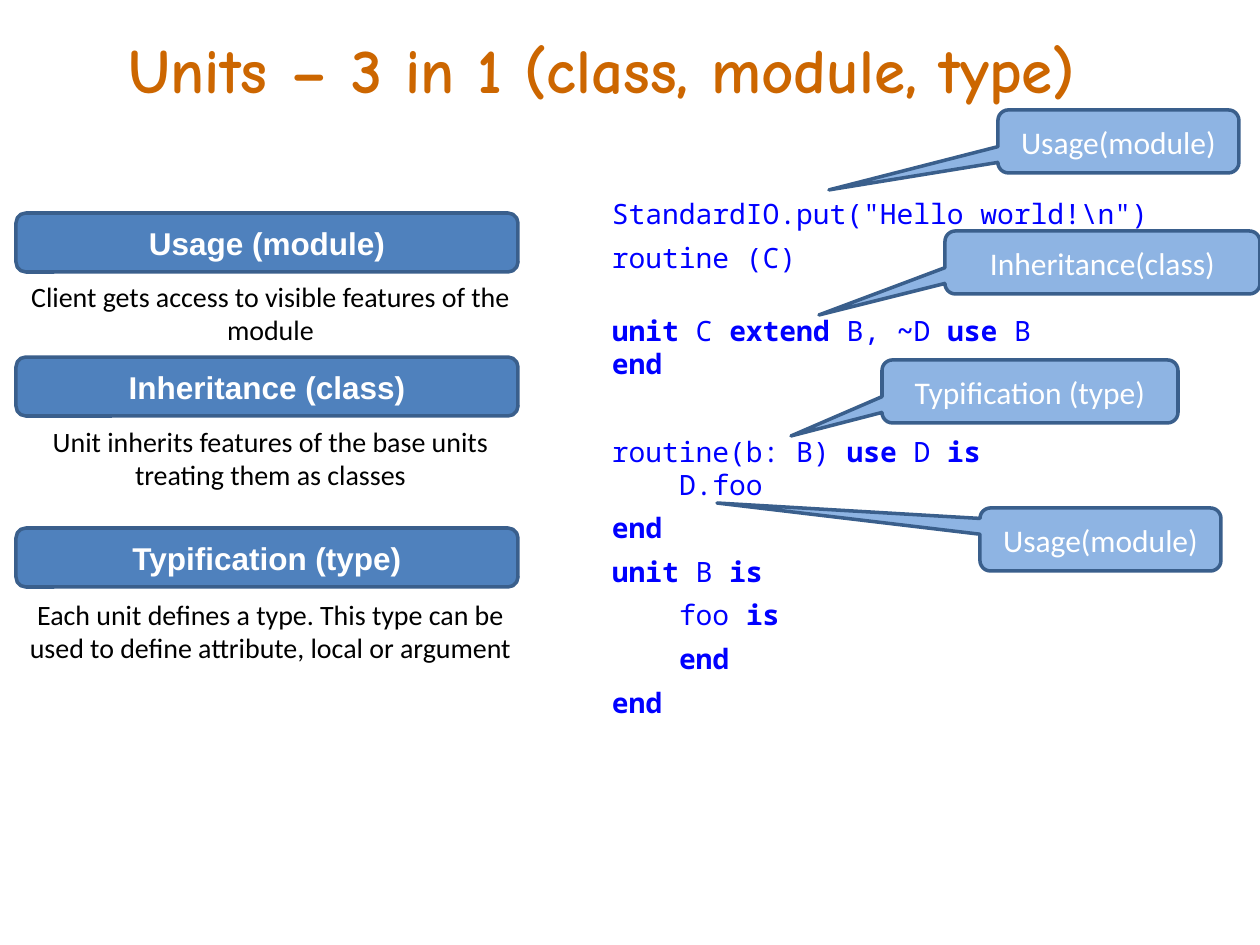
from lxml.etree import SubElement
from pptx import Presentation
from pptx.dml.color import RGBColor
from pptx.enum.shapes import MSO_SHAPE
from pptx.enum.text import MSO_ANCHOR, MSO_AUTO_SIZE, PP_ALIGN
from pptx.oxml.ns import qn
from pptx.util import Emu, Pt

ROUND, BUBBLE = MSO_SHAPE.ROUNDED_RECTANGLE, MSO_SHAPE.ROUNDED_RECTANGULAR_CALLOUT
TOP, MIDDLE = MSO_ANCHOR.TOP, MSO_ANCHOR.MIDDLE
LEFT, CENTER = PP_ALIGN.LEFT, PP_ALIGN.CENTER
FIXED = MSO_AUTO_SIZE.NONE
SCALE = 914400 / 126
WIDE, HIGH = 1260, 945
TAB = 67
LINE, GAP = 18.9, 6

COLORS = {
    "title": "CC6600", "head": "4F81BD", "edge": "3A5F8C", "call": "8EB4E3",
    "code": "0000FF", "note": "000000", "light": "FFFFFF",
}
ROLES = [
    ("Usage (module)", 213,
     "Client gets access to visible features of the module", 273),
    ("Inheritance (class)", 357,
     "Unit inherits features of the base units treating them as classes", 418),
    ("Typification (type)", 528,
     "Each unit defines a type. This type can be used to define attribute, "
     "local or argument", 591),
]
CODE = [
    (0, 0, 'StandardIO.put("Hello world!\\n")'),
    (0, GAP, "routine (C)"),
    (0, 22.8, "*unit* C *extend* B, *~*D *use* B"),
    (0, 0, "*end*"),
    (0, 31.4, "routine(b: B) *use* D *is*"),
    (1, 0, "D.foo"),
    (0, GAP, "*end*"),
    (0, GAP, "*unit* B *is*"),
    (1, GAP, "foo *is*"),
    (1, GAP, "*end*"),
    (0, GAP, "*end*"),
]
CALLS = [
    ("Usage(module)", 998, 110, 241, (829, 190)),
    ("Inheritance(class)", 945, 231, 315, (819, 315)),
    ("Typification (type)", 882, 360, 296, (791, 436)),
    ("Usage(module)", 980, 508, 241, (717, 503)),
]


def px(num):
    """Turn pixels into EMU."""
    return Emu(round(num * SCALE))


def place(shape, *box):
    """Move and size a shape."""
    shape.left, shape.top, shape.width, shape.height = map(px, box)


def style(run, face, size, color, bold=False):
    """Format one run."""
    font = run.font
    font.name, font.size, font.bold = face, Pt(size), bold
    font.color.rgb = RGBColor.from_string(COLORS[color])


def setup(frame, anchor, side=None):
    """Set wrapping, anchor and side insets of a text frame."""
    frame.word_wrap, frame.auto_size = True, FIXED
    frame.vertical_anchor = anchor
    if side is not None:
        frame.margin_left = frame.margin_right = px(side)


def write(frame, text, align, *look):
    """Fill a frame with one formatted paragraph."""
    frame.text = text
    para = frame.paragraphs[0]
    para.alignment = align
    style(para.runs[0], *look)


def add_box(slide, kind, box, fill):
    """Add a filled and outlined shape."""
    shape = slide.shapes.add_shape(kind, *map(px, box))
    shape.shadow.inherit = False
    shape.fill.solid()
    shape.fill.fore_color.rgb = RGBColor.from_string(COLORS[fill])
    shape.line.color.rgb = RGBColor.from_string(COLORS["edge"])
    shape.line.width = Pt(2)
    return shape


def add_role(slide, name, top, text, low):
    """Add a heading bar with its note."""
    bar = add_box(slide, ROUND, (16, top, 502, 59), "head")
    setup(bar.text_frame, MIDDLE, 0)
    write(bar.text_frame, name, CENTER, "Arial", 18, "light", True)
    note = slide.shapes.add_textbox(*map(px, (18, low, 505, 81)))
    setup(note.text_frame, TOP, 0)
    write(note.text_frame, text, CENTER, "Calibri", 16, "note")


def add_call(slide, text, left, top, width, tip):
    """Add a callout that points at a tip."""
    high = 63
    call = add_box(slide, BUBBLE, (left, top, width, high), "call")
    call.adjustments[0] = (tip[0] - left) / width - 0.5
    call.adjustments[1] = (tip[1] - top) / high - 0.5
    setup(call.text_frame, MIDDLE)
    write(call.text_frame, text, CENTER, "Calibri", 18, "light")


def add_line(para, depth, gap, text):
    """Write a code line, with bold between stars."""
    para.alignment = LEFT
    para.line_spacing, para.space_before = Pt(LINE), Pt(gap)
    props = para._p.get_or_add_pPr()
    props.set("marL", str(px(depth * TAB)))
    props.set("indent", "0")
    SubElement(props, qn("a:buNone"))
    for spot, part in enumerate(text.split("*")):
        if part:
            run = para.add_run()
            run.text = part
            style(run, "Noto Sans Mono", 16, "code", spot % 2 == 1)


def fill_code(body):
    """Fill the body with the code sample."""
    place(body, 612, 191, 648, 538)
    frame = body.text_frame
    setup(frame, TOP, 0)
    for spot, line in enumerate(CODE):
        add_line(frame.add_paragraph() if spot else frame.paragraphs[0], *line)


def main():
    """Build and save the slide."""
    deck = Presentation()
    deck.slide_width, deck.slide_height = px(WIDE), px(HIGH)
    slide = deck.slides.add_slide(deck.slide_layouts[1])
    title, body = slide.placeholders
    place(title, 116, 24, 1119, 81)
    setup(title.text_frame, TOP)
    write(title.text_frame, "Units – 3 in 1 (class, module, type)", LEFT,
          "Comic Neue", 36, "title", True)
    for role in ROLES:
        add_role(slide, *role)
    fill_code(body)
    for call in CALLS:
        add_call(slide, *call)
    deck.save("out.pptx")


if __name__ == "__main__":
    main()
